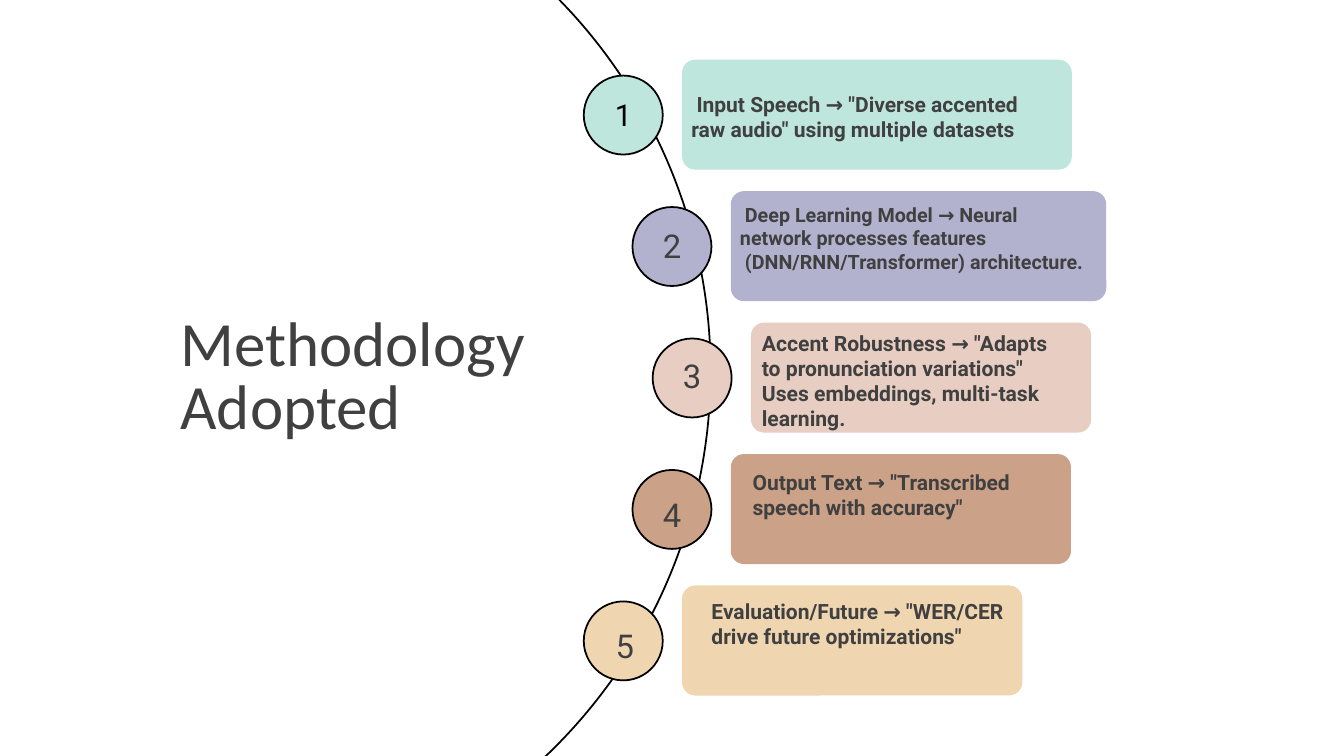
"""Build the "Methodology Adopted" slide: five numbered steps along an arc."""
from pptx import Presentation
from pptx.dml.color import RGBColor
from pptx.enum.shapes import MSO_SHAPE as Shape
from pptx.enum.text import PP_ALIGN as Align
from pptx.util import Inches, Pt

BLACK = RGBColor(0x00, 0x00, 0x00)
WHITE = RGBColor(0xFF, 0xFF, 0xFF)
GRAY = RGBColor(0x40, 0x40, 0x40)
MINT = RGBColor(0xBE, 0xE6, 0xDC)
LAVENDER = RGBColor(0xB2, 0xB2, 0xCF)
BLUSH = RGBColor(0xE7, 0xCD, 0xC2)
CLAY = RGBColor(0xCB, 0xA1, 0x88)
SAND = RGBColor(0xEF, 0xD6, 0xB1)

CIRCLE = 0.94
CARD_HEIGHT = 1.31
FIRST_TOP = 0.9
PITCH = 6.26 / 4

prs = Presentation()
prs.slide_width, prs.slide_height = Inches(16), Inches(9)
slide = prs.slides.add_slide(prs.slide_layouts[6])


def add_figure(kind, left, top, width, height, fill, outlined):
    figure = slide.shapes.add_shape(kind, Inches(left), Inches(top), Inches(width), Inches(height))
    figure.shadow.inherit = False
    figure.fill.solid()
    figure.fill.fore_color.rgb = fill
    if outlined:
        figure.line.color.rgb = BLACK
        figure.line.width = Pt(1.5)
    else:
        figure.line.fill.background()
    return figure


def add_text(lines, left, top, width, height, size, spacing,
             font="Roboto", color=GRAY, bold=False, align=Align.LEFT):
    frame = slide.shapes.add_textbox(Inches(left), Inches(top), Inches(width), Inches(height)).text_frame
    frame.word_wrap = True
    frame.margin_left = frame.margin_top = frame.margin_right = frame.margin_bottom = 0
    for i, line in enumerate(lines):
        paragraph = frame.add_paragraph() if i else frame.paragraphs[0]
        paragraph.alignment = align
        paragraph.line_spacing = Pt(spacing)
        run = paragraph.add_run()
        run.text = line
        run.font.name = font
        run.font.size = Pt(size)
        run.font.bold = bold
        run.font.color.rgb = color


add_figure(Shape.OVAL, -4.2, -1.91, 12.66, 12.66, WHITE, True)
add_text(["Methodology Adopted"], 2.15, 3.76, 5.07, 1.55, 54, 54, font="Calibri")

# Each step: colour, circle left, card width, number (shift, drop, size, spacing, colour),
# text (left, top, width, height, size, spacing), lines
steps = [
    (MINT, 6.95, 4.64, (0, 0.18, 25.9, 36.2, BLACK), (8.23, 1.09, 4.28, 0.8, 18, 21.6),
     [' Input Speech → "Diverse accented raw audio" using multiple datasets']),
    (LAVENDER, 7.53, 4.47, (0, 0.14, 28.1, 39.4, GRAY), (8.81, 2.41, 4.2, 1.12, 16.9, 20.2),
     [" Deep Learning Model → Neural network processes features",
      " (DNN/RNN/Transformer) architecture."]),
    (BLUSH, 7.77, 4.05, (0, 0.13, 28.1, 39.4, GRAY), (9.07, 3.93, 3.68, 1.53, 18.1, 21.6),
     ['Accent Robustness → "Adapts to pronunciation variations"',
      "Uses embeddings, multi-task", "learning."]),
    (CLAY, 7.53, 4.05, (0, 0.22, 28.1, 39.4, GRAY), (8.96, 5.59, 3.4, 0.92, 18, 21.6),
     ['Output Text → "Transcribed speech with accuracy"']),
    (SAND, 6.95, 4.05, (0.02, 0.21, 28.1, 39.4, GRAY), (8.47, 7.12, 3.51, 1.22, 18, 21.6),
     ['Evaluation/Future → "WER/CER drive future optimizations"']),
]

for number, (color, left, card_width, digit, text_layout, lines) in enumerate(steps, 1):
    top = FIRST_TOP + (number - 1) * PITCH
    shift, drop, size, spacing, digit_color = digit
    add_figure(Shape.OVAL, left, top, CIRCLE, CIRCLE, color, True)
    card = add_figure(Shape.ROUNDED_RECTANGLE, left + 1.17, top - 0.19, card_width, CARD_HEIGHT, color, False)
    card.adjustments[0] = 0.12
    add_text([str(number)], left + shift, top + drop, CIRCLE, 0.51, size, spacing,
             color=digit_color, align=Align.CENTER)
    add_text(lines, *text_layout, bold=True)

prs.save("out.pptx")
